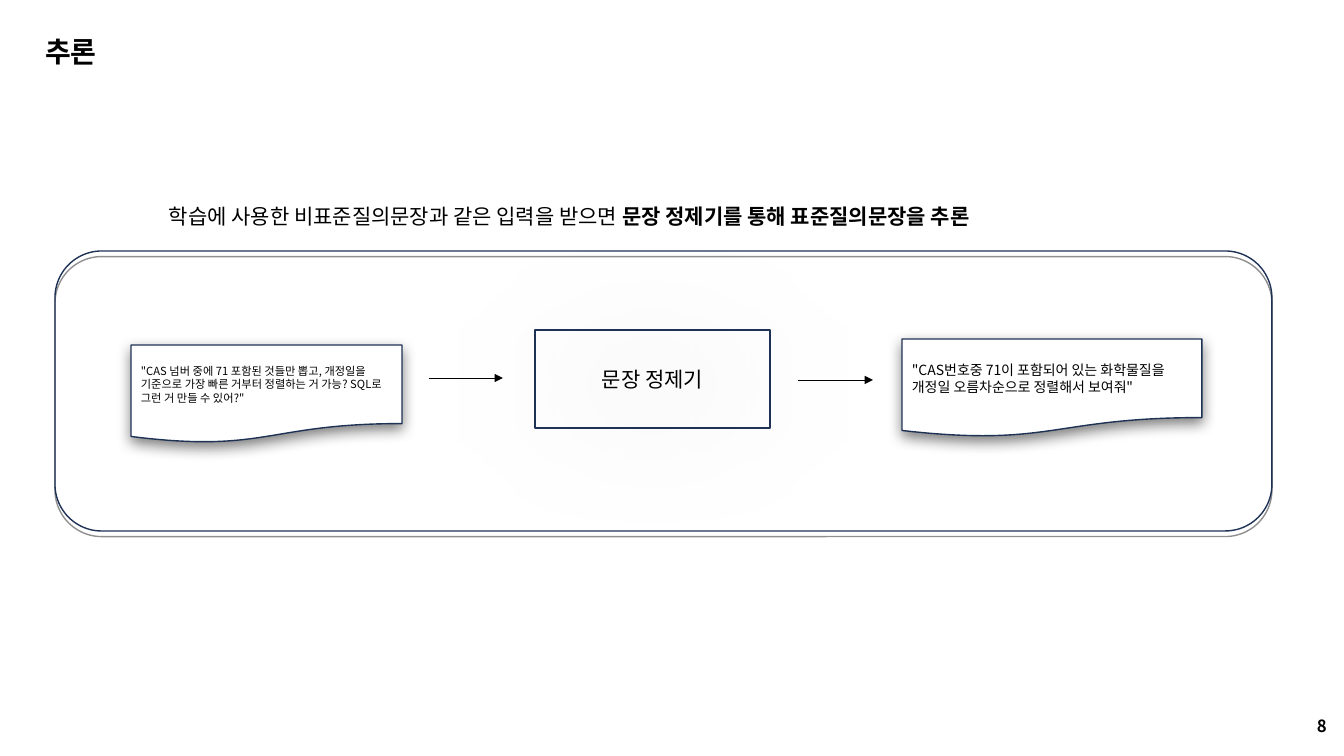
from lxml import etree
from pptx import Presentation
from pptx.dml.color import RGBColor
from pptx.enum.shapes import MSO_CONNECTOR, MSO_SHAPE
from pptx.enum.text import MSO_ANCHOR, MSO_AUTO_SIZE, PP_ALIGN
from pptx.oxml.ns import qn
from pptx.util import Emu, Pt

DOC, RECT = MSO_SHAPE.FLOWCHART_DOCUMENT, MSO_SHAPE.RECTANGLE
ROUND, LINE = MSO_SHAPE.ROUNDED_RECTANGLE, MSO_CONNECTOR.STRAIGHT
LEFT, MID = PP_ALIGN.LEFT, PP_ALIGN.CENTER
TOP, CENTER = MSO_ANCHOR.TOP, MSO_ANCHOR.MIDDLE
GROW = MSO_AUTO_SIZE.SHAPE_TO_FIT_TEXT

FONT = "Noto Sans CJK KR"
COLORS = {"ink": "000000", "edge": "1E3256", "paper": "FFFFFF"}

TITLE = ((35, 29, 77, 44), [("추론", True)], 20)
NOTES = [
    ((1307, 711, 30, 30), [("8", True)], 12, False),
    ((159, 199, 1012, 35), [
        ("학습에 사용한 비표준질의문장과 같은 입력을 받으면 ", False),
        ("문장 정제기를 통해 표준질의문장을 추론", True)], 15, True),
]
INPUT = ('"CAS 넘버 중에 71 포함된 것들만 뽑고, 개정일을 기준으로 가장 빠른 거부터 '
         '정렬하는 거 가능? SQL로 그런 거 만들 수 있어?"')
OUTPUT = '"CAS번호중 71이 포함되어 있는 화학물질을 개정일 오름차순으로 정렬해서 보여줘"'
BOXES = [
    (DOC, (131, 345, 271, 98), "paper", (50, 10), INPUT, 8, LEFT),
    (DOC, (902, 339, 300, 98), "paper", (50, 10), OUTPUT, 10, LEFT),
    (ROUND, (55, 251, 1217, 280), None, (43, 0), "", 15, MID),
    (RECT, (535, 330, 235, 98), None, (43, 100), "문장 정제기", 15, MID),
]
ARROWS = [(429, 503, 378), (798, 873, 380)]


def px(n):
    return Emu(round(n * 914400 / 100.8))


def rgb(name):
    return RGBColor.from_string(COLORS[name])


def write(frame, runs, size, align, form):
    for key, value in form.items():
        setattr(frame, key, value)
    para = frame.paragraphs[0]
    para.alignment = align
    for text, bold in runs:
        run = para.add_run()
        run.text = text
        face = {"name": FONT, "size": Pt(size), "bold": bold}
        for key, value in face.items():
            setattr(run.font, key, value)
        run.font.color.rgb = rgb("ink")
        latin = run.font._element.find(qn("a:latin"))
        latin.addnext(latin.makeelement(qn("a:ea"), {"typeface": FONT}))


def shade(shape, alpha, blur):
    shape.shadow.inherit = False
    effects = shape._element.spPr.find(qn("a:effectLst"))
    outer = etree.SubElement(effects, qn("a:outerShdw"), {
        "blurRad": str(Pt(blur)), "dist": str(Pt(4)), "dir": "5400000",
        "algn": "t", "rotWithShape": "0"})
    tint = etree.SubElement(outer, qn("a:srgbClr"), val=COLORS["ink"])
    etree.SubElement(tint, qn("a:alpha"), val=str(alpha * 1000))


def add_box(slide, kind, area, fill, shadow, text, size, align):
    box = slide.shapes.add_shape(kind, *map(px, area))
    if fill:
        box.fill.solid()
        box.fill.fore_color.rgb = rgb(fill)
    else:
        box.fill.background()
    box.line.color.rgb = rgb("edge")
    box.line.width = Pt(1)
    shade(box, *shadow)
    if text:
        write(box.text_frame, [(text, False)], size, align,
              {"word_wrap": True, "vertical_anchor": CENTER})


def add_arrow(slide, start, end, y):
    arrow = slide.shapes.add_connector(LINE, px(start), px(y), px(end), px(y))
    arrow.line.color.rgb = rgb("ink")
    arrow.line.width = Pt(0.5)
    etree.SubElement(arrow.line._get_or_add_ln(), qn("a:tailEnd"), type="triangle")
    etree.SubElement(arrow._element.spPr, qn("a:effectLst"))


def main():
    deck = Presentation()
    deck.slide_width, deck.slide_height = px(1344), px(756)
    slide = deck.slides.add_slide(deck.slide_layouts[5])

    area, runs, size = TITLE
    title = slide.shapes.title
    for key, value in zip(("left", "top", "width", "height"), area):
        setattr(title, key, px(value))
    write(title.text_frame, runs, size, LEFT,
          {"word_wrap": False, "auto_size": GROW, "vertical_anchor": TOP})

    for area, runs, size, wrap in NOTES:
        note = slide.shapes.add_textbox(*map(px, area))
        write(note.text_frame, runs, size, LEFT,
              {"word_wrap": wrap, "auto_size": GROW})
    for box in BOXES:
        add_box(slide, *box)
    for arrow in ARROWS:
        add_arrow(slide, *arrow)
    deck.save("out.pptx")


if __name__ == "__main__":
    main()
